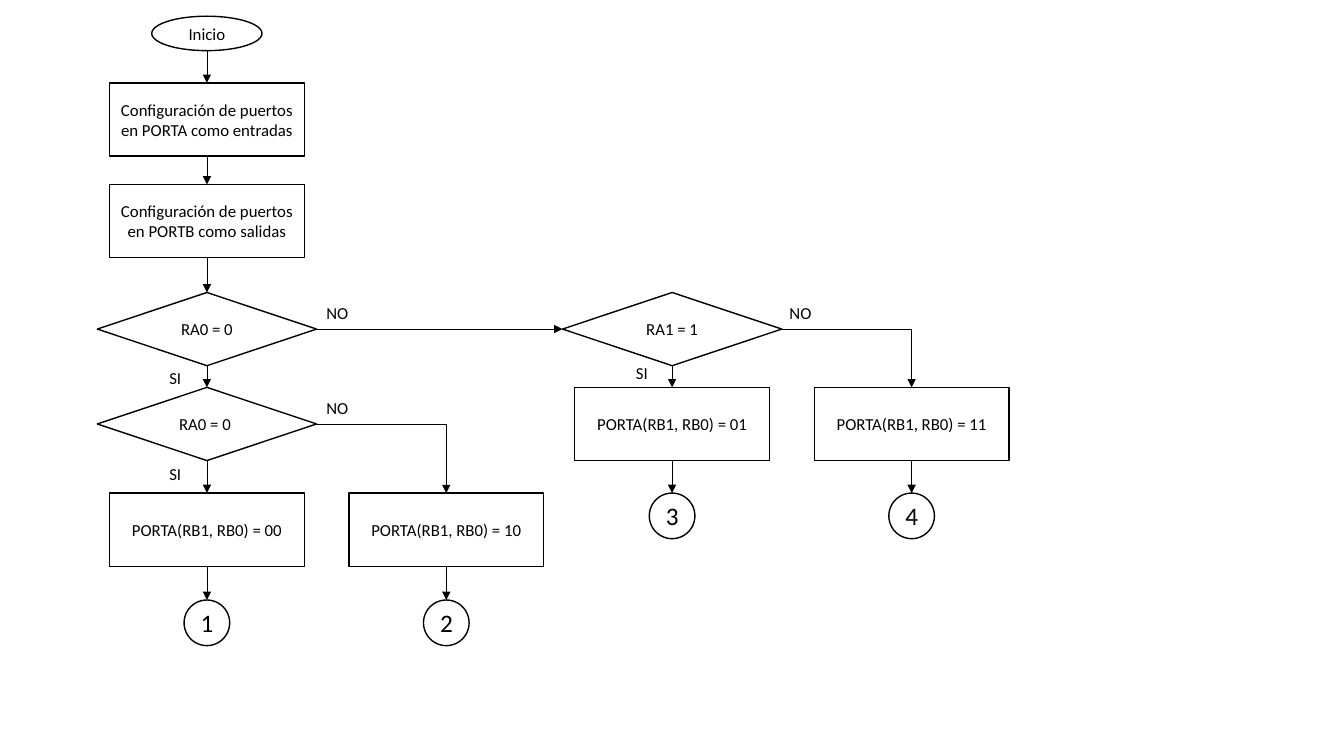
from dataclasses import dataclass

from pptx import Presentation
from pptx.dml.color import RGBColor
from pptx.enum.shapes import MSO_CONNECTOR as Link, MSO_SHAPE as Shape
from pptx.enum.text import MSO_ANCHOR as Anchor, MSO_AUTO_SIZE as AutoSize, PP_ALIGN as Align
from pptx.oxml.ns import qn
from pptx.util import Pt
from lxml.etree import SubElement


@dataclass(frozen=True)
class Theme:
    ink: RGBColor = RGBColor(0, 0, 0)
    paper: RGBColor = RGBColor(255, 255, 255)
    font: str = "Calibri"
    body: int = 12
    number: int = 18
    outline: float = 1
    arrow: float = 0.5


theme = Theme()
TOP, LEFT, BOTTOM, RIGHT = range(4)


def style_text(frame, text, size, align):
    frame.word_wrap = True
    paragraph = frame.paragraphs[0]
    paragraph.text = text
    paragraph.alignment = align
    paragraph.font.name = theme.font
    paragraph.font.size = Pt(size)
    paragraph.font.color.rgb = theme.ink


def add_arrow(kind, start, start_side, end, end_side):
    connector = slide.shapes.add_connector(
        kind, start.left + start.width // 2, start.top + start.height, end.left, end.top)
    if start.auto_shape_type != Shape.OVAL:
        connector.begin_connect(start, start_side)
    connector.end_connect(end, end_side)
    connector.line.color.rgb = theme.ink
    connector.line.width = Pt(theme.arrow)
    SubElement(connector.line._get_or_add_ln(), qn("a:tailEnd"), type="triangle")
    properties = connector._element.spPr
    SubElement(properties, qn("a:effectLst"))
    if kind == Link.ELBOW:
        properties.find(qn("a:prstGeom")).set("prst", "bentConnector2")


presentation = Presentation()
presentation.slide_width = Pt(960)
presentation.slide_height = Pt(540)
slide = presentation.slides.add_slide(presentation.slide_layouts[6])

columns = [147.8, 318.8, 480.1, 651.2]
decision_top, second_top, third_top, exit_top = 208.9, 276.7, 352.2, 428.6
sizes = {
    Shape.OVAL: (78.8, 24.6),
    Shape.RECTANGLE: (139.2, 52.3),
    Shape.FLOWCHART_DECISION: (156.6, 52.3),
    Shape.FLOWCHART_CONNECTOR: (32.6, 32.6),
}
nodes = [
    ("start", Shape.OVAL, 0, 11.6, "Inicio"),
    ("inputs", Shape.RECTANGLE, 0, 59.2, "Configuración de puertos en PORTA como entradas"),
    ("outputs", Shape.RECTANGLE, 0, 131.8, "Configuración de puertos en PORTB como salidas"),
    ("first", Shape.FLOWCHART_DECISION, 0, decision_top, "RA0 = 0"),
    ("right", Shape.FLOWCHART_DECISION, 2, decision_top, "RA1 = 1"),
    ("second", Shape.FLOWCHART_DECISION, 0, second_top, "RA0 = 0 "),
    ("set00", Shape.RECTANGLE, 0, third_top, "PORTA(RB1, RB0) = 00"),
    ("set10", Shape.RECTANGLE, 1, third_top, "PORTA(RB1, RB0) = 10"),
    ("set01", Shape.RECTANGLE, 2, second_top, "PORTA(RB1, RB0) = 01"),
    ("set11", Shape.RECTANGLE, 3, second_top, "PORTA(RB1, RB0) = 11"),
    ("exit1", Shape.FLOWCHART_CONNECTOR, 0, exit_top, "1"),
    ("exit2", Shape.FLOWCHART_CONNECTOR, 1, exit_top, "2"),
    ("exit3", Shape.FLOWCHART_CONNECTOR, 2, third_top, "3"),
    ("exit4", Shape.FLOWCHART_CONNECTOR, 3, third_top, "4"),
]
flow = {}
for name, kind, column, top, text in nodes:
    width, height = sizes[kind]
    shape = slide.shapes.add_shape(
        kind, Pt(columns[column] - width / 2), Pt(top), Pt(width), Pt(height))
    shape.shadow.inherit = False
    shape.fill.solid()
    shape.fill.fore_color.rgb = theme.paper
    shape.line.color.rgb = theme.ink
    shape.line.width = Pt(theme.outline)
    shape.text_frame.vertical_anchor = Anchor.MIDDLE
    is_exit = kind == Shape.FLOWCHART_CONNECTOR
    style_text(shape.text_frame, text, theme.number if is_exit else theme.body, Align.CENTER)
    flow[name] = shape

downward = [
    ("start", "inputs"), ("inputs", "outputs"), ("outputs", "first"),
    ("first", "second"), ("second", "set00"), ("right", "set01"),
    ("set00", "exit1"), ("set10", "exit2"), ("set01", "exit3"), ("set11", "exit4"),
]
for start, end in downward:
    add_arrow(Link.STRAIGHT, flow[start], BOTTOM, flow[end], TOP)
add_arrow(Link.STRAIGHT, flow["first"], RIGHT, flow["right"], LEFT)
for start, end in [("second", "set10"), ("right", "set11")]:
    add_arrow(Link.ELBOW, flow[start], RIGHT, flow[end], TOP)

labels = [
    ("NO", 226, 213), ("NO", 226, 280.2), ("NO", 556.8, 213),
    ("SI", 113.8, 259), ("SI", 113.8, 327.6), ("SI", 447.2, 255.4),
]
for text, left, top in labels:
    label = slide.shapes.add_textbox(Pt(left), Pt(top), Pt(34), Pt(21.8))
    style_text(label.text_frame, text, theme.body, Align.LEFT)
    label.text_frame.auto_size = AutoSize.SHAPE_TO_FIT_TEXT

presentation.save("out.pptx")
